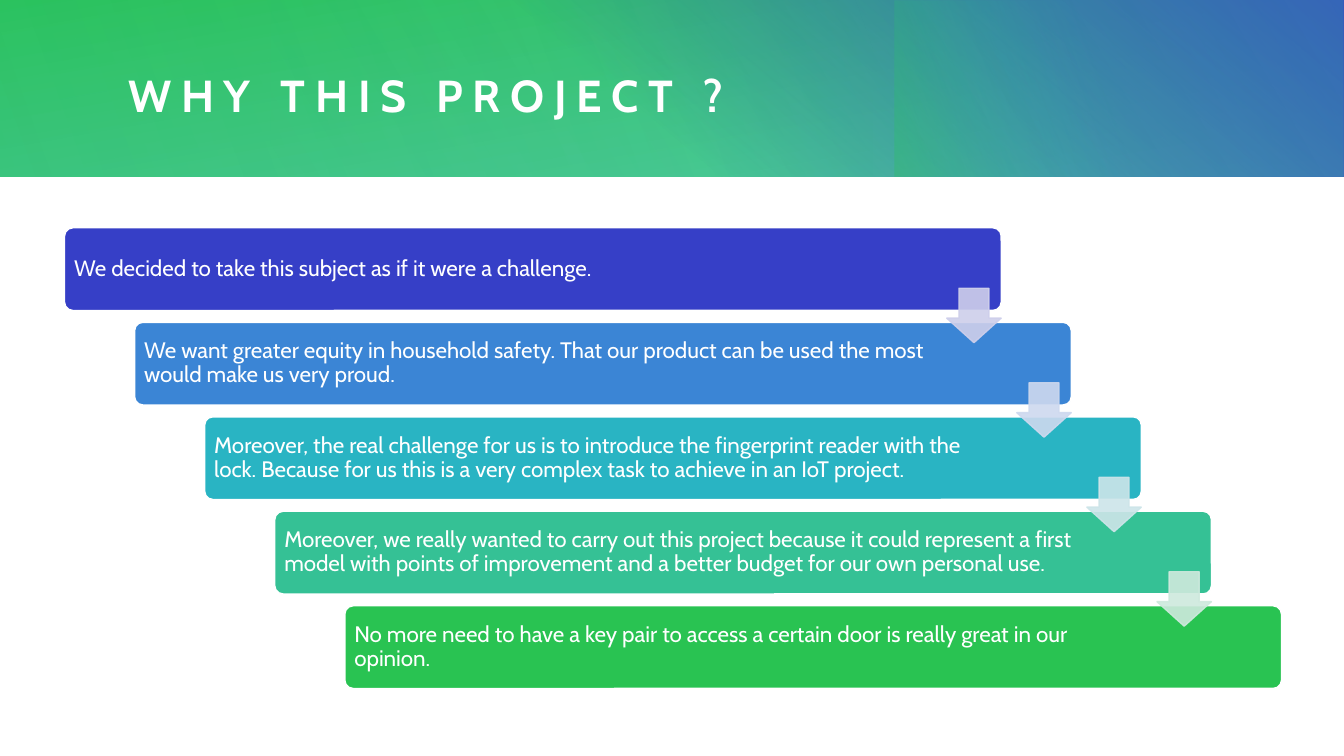
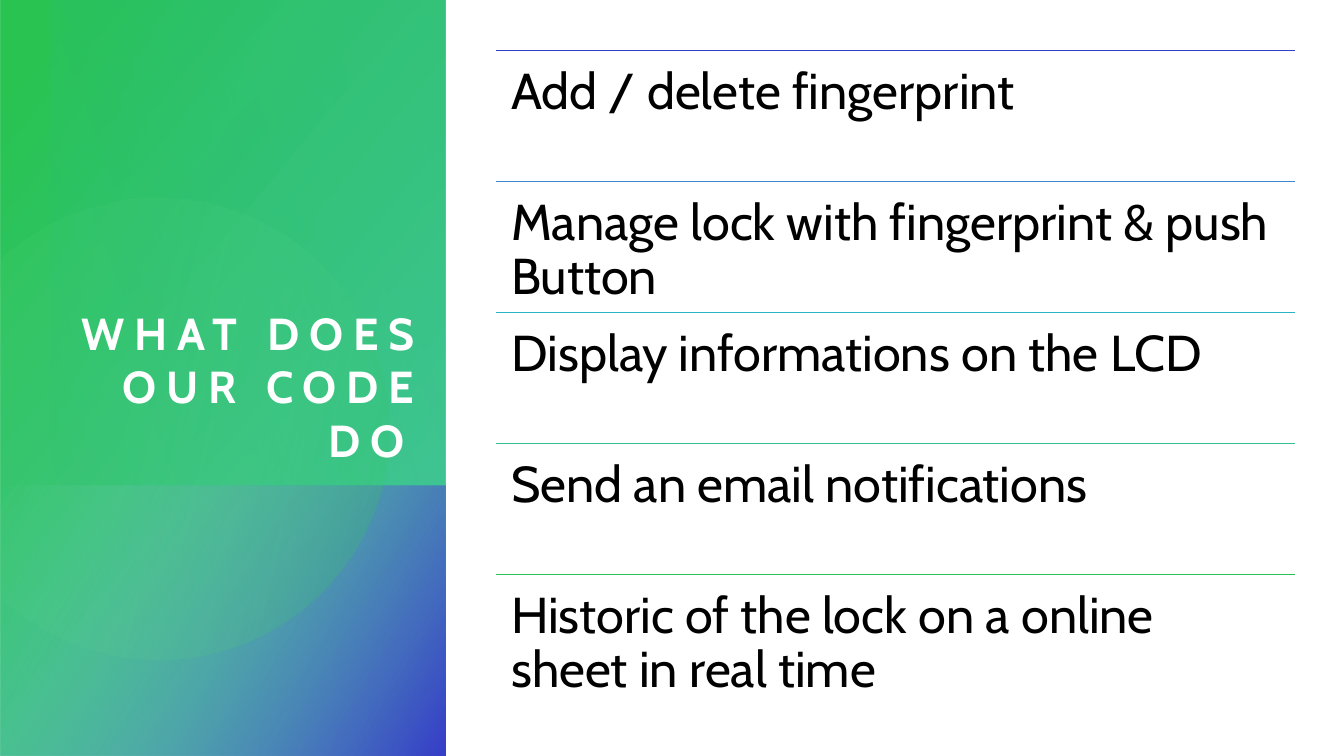
from dataclasses import dataclass
from math import acos, cos, pi, sin

from lxml.etree import SubElement
from pptx import Presentation
from pptx.dml.color import RGBColor
from pptx.enum.shapes import MSO_CONNECTOR, MSO_SHAPE
from pptx.enum.text import MSO_ANCHOR, MSO_AUTO_SIZE, PP_ALIGN
from pptx.oxml.ns import qn
from pptx.util import Inches, Pt


@dataclass(frozen=True)
class Theme:
    font: str = "Cabin"
    white: str = "FFFFFF"
    black: str = "000000"
    indigo: str = "363FC7"
    blue: str = "3B85D5"
    cyan: str = "29B4C3"
    teal: str = "35C195"
    green: str = "29C352"
    mint: str = "83DDC1"
    light_green: str = "77E294"
    arrows: tuple = ("CECFEB", "CED9EF", "CDE5E9", "CEE9DD")
    title_size: int = 32
    title_spacing: int = 7
    step_size: int = 16
    feature_size: int = 36
    line_spacing: float = 0.9

    @property
    def sequence(self):
        return self.indigo, self.blue, self.cyan, self.teal, self.green


T = Theme()

STEPS = (
    "We decided to take this subject as if it were a challenge.",
    "We want greater equity in household safety. That our product can be "
    "used the most would make us very proud.",
    "Moreover, the real challenge for us is to introduce the fingerprint "
    "reader with the lock. Because for us this is a very complex task to "
    "achieve in an IoT project.",
    "Moreover, we really wanted to carry out this project because it could "
    "represent a first model with points of improvement and a better budget "
    "for our own personal use.",
    "No more need to have a key pair to access a certain door is really "
    "great in our opinion.",
)
FEATURES = (
    "Add / delete fingerprint",
    "Manage lock with fingerprint & push Button",
    "Display informations on the LCD",
    "Send an email notifications",
    "Historic of the lock on a online sheet in real time",
)


def rgb(color):
    return RGBColor.from_string(color)


# Shapes and fills
def add_box(s, kind, box, adjustments=()):
    sp = s.shapes.add_shape(kind, *map(Inches, box))
    sp.shadow.inherit = False
    for i, value in enumerate(adjustments):
        sp.adjustments[i] = value
    return sp


def set_solid(sp, color, line_color):
    sp.fill.solid()
    sp.fill.fore_color.rgb = rgb(color)
    sp.line.color.rgb = rgb(line_color)
    sp.line.width = Pt(1)


def set_opacity(sp, *percents):
    """Give the shape's colours, in order, these opacities."""
    colors = sp.element.spPr.iter(qn("a:srgbClr"))
    for color, percent in zip(list(colors), percents):
        SubElement(color, qn("a:alpha")).set("val", str(percent * 1000))


def set_gradient(sp, stops, angle):
    """Stops are (position, colour, opacity); the angle runs clockwise."""
    sp.fill.gradient()
    sp.fill.gradient_angle = 360 - angle
    for stop, (position, color, _) in zip(sp.fill.gradient_stops, stops):
        stop.position = position / 100
        stop.color.rgb = rgb(color)
    set_opacity(sp, *(opacity for _, _, opacity in stops))
    sp.line.fill.background()


def add_gradient_rect(s, box, stops, angle, rotation=0, flip=False):
    sp = add_box(s, MSO_SHAPE.RECTANGLE, box)
    set_gradient(sp, stops, angle)
    sp.rotation = rotation
    if flip:
        sp.element.spPr.xfrm.set("flipH", "1")


def add_cut_circle(s, cx, cy, radius, stops, angle):
    """Circle cut off by the left edge of the slide."""
    limit, count = acos(-cx / radius), 120
    turns = [limit * (2 * i / count - 1) for i in range(count + 1)]
    points = [(Inches(cx + radius * cos(t)), Inches(cy + radius * sin(t)))
              for t in turns]
    builder = s.shapes.build_freeform(*points[0])
    builder.add_line_segments(points[1:], close=True)
    sp = builder.convert_to_shape()
    sp.shadow.inherit = False
    set_gradient(sp, stops, angle)


# Text
def write(tf, text, size, color, margins, anchor, align=PP_ALIGN.LEFT):
    tf.text = text
    tf.word_wrap = True
    tf.auto_size = MSO_AUTO_SIZE.NONE
    tf.vertical_anchor = anchor
    (tf.margin_left, tf.margin_top,
     tf.margin_right, tf.margin_bottom) = map(Inches, margins)
    p = tf.paragraphs[0]
    p.alignment = align
    r = p.runs[0]
    r.font.name = T.font
    r.font.size = Pt(size)
    r.font.color.rgb = rgb(color)
    return p


def set_title(s, text, box, anchor, align):
    title = s.shapes.title
    title.left, title.top, title.width, title.height = map(Inches, box)
    p = write(title.text_frame, text, T.title_size, T.white, (0,) * 4,
              anchor, align)
    font = p.runs[0].font
    font.bold = True
    p.runs[0]._r.get_or_add_rPr().set("spc", str(T.title_spacing * 100))
    # Bring the title in front of the coloured band
    title.element.getparent().append(title.element)


# Content elements
def add_step(s, text, color, left, top):
    sp = add_box(s, MSO_SHAPE.ROUNDED_RECTANGLE, (left, top, 9.29, 0.82), [0.1])
    set_solid(sp, color, T.white)
    p = write(sp.text_frame, text, T.step_size, T.white,
              (0.07, 0.07, 1.31, 0.07), MSO_ANCHOR.MIDDLE)
    p.line_spacing = T.line_spacing


def add_step_arrow(s, color, left, top):
    sp = add_box(s, MSO_SHAPE.DOWN_ARROW, (left, top, 0.54, 0.54), [0.55, 0.45])
    set_solid(sp, color, color)
    set_opacity(sp, 90, 90)


def add_feature(s, text, color, left, top, width, height):
    line = s.shapes.add_connector(
        MSO_CONNECTOR.STRAIGHT,
        *map(Inches, (left, top, left + width, top)))
    line.line.color.rgb = rgb(color)
    line.line.width = Pt(1)
    SubElement(line.element.spPr, qn("a:effectLst"))
    sp = s.shapes.add_textbox(*map(Inches, (left, top, width, height)))
    p = write(sp.text_frame, text, T.feature_size, T.black, (0.15,) * 4,
              MSO_ANCHOR.TOP)
    p.line_spacing = T.line_spacing


# Slides
def build_why(s):
    # Top band
    add_gradient_rect(s, (0, 0, 13.33, 1.75),
                      [(0, T.teal, 83), (100, T.green, 100)], 260)
    add_gradient_rect(s, (4.81, 0, 8.52, 1.75),
                      [(22, T.indigo, 0), (99, T.indigo, 100)], 310)
    add_gradient_rect(s, (9.87, -0.99, 1.75, 3.74),
                      [(45, T.cyan, 0), (99, T.green, 33)], 250, 270)
    add_gradient_rect(s, (2.68, 0, 10.64, 1.75),
                      [(0, T.teal, 30), (99, T.teal, 0)], 330, 180)
    add_gradient_rect(s, (0, 0, 8.65, 1.75),
                      [(0, T.teal, 21), (99, T.teal, 0)], 340)
    set_title(s, "WHY THIS PROJECT ?", (1.27, 0.41, 11.35, 1.06),
              MSO_ANCHOR.MIDDLE, PP_ALIGN.LEFT)
    # Staircase, then the arrows over it
    gaps = len(STEPS) - 1
    corners = [(0.64 + i * 2.78 / gaps, 2.26 + i * 3.75 / gaps)
               for i in range(len(STEPS))]
    for text, color, (left, top) in zip(STEPS, T.sequence, corners):
        add_step(s, text, color, left, top)
    for color, (left, top) in zip(T.arrows, corners):
        add_step_arrow(s, color, left + 8.75, top + 0.6)


def build_code(s):
    # Side band
    add_gradient_rect(s, (-1.54, 1.54, 7.5, 4.42),
                      [(8, T.green, 100), (100, T.teal, 89)], 50, 270, True)
    add_gradient_rect(s, (0.86, 3.95, 2.69, 4.42),
                      [(0, T.mint, 0), (99, T.indigo, 100)], 60, 270, True)
    add_cut_circle(s, 1.57, 4.25, 2.29,
                   [(36, T.light_green, 6), (100, T.green, 26)], 14)
    add_gradient_rect(s, (0.05, 0.45, 4.81, 3.92),
                      [(0, T.teal, 29), (100, T.cyan, 0)], 110, 90, True)
    set_title(s, "WHAT DOES OUR CODE DO ", (0.5, 0.95, 3.71, 3.68),
              MSO_ANCHOR.BOTTOM, PP_ALIGN.RIGHT)
    # Ruled list
    row = 1.3
    for i, (text, color) in enumerate(zip(FEATURES, T.sequence)):
        add_feature(s, text, color, 4.92, 0.5 + i * row, 7.92, row)


def main():
    prs = Presentation()
    prs.slide_width, prs.slide_height = Inches(13.33), Inches(7.5)
    title_only = prs.slide_layouts[5]
    for build in (build_why, build_code):
        build(prs.slides.add_slide(title_only))
    prs.save("out.pptx")


if __name__ == "__main__":
    main()
